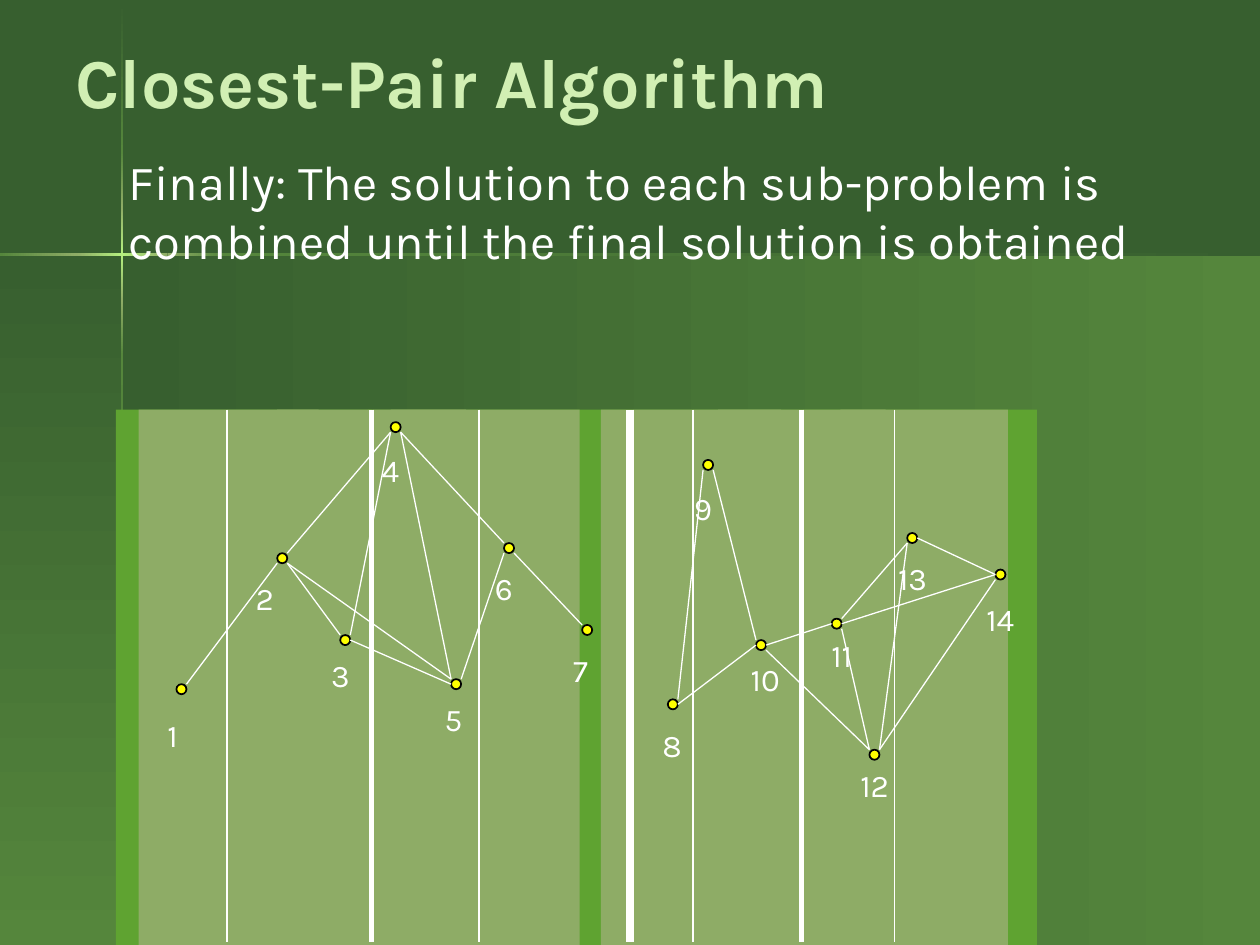
import dataclasses
import itertools

import lxml.etree
import pptx
import pptx.dml.color
import pptx.enum.shapes
import pptx.enum.text
import pptx.oxml.ns
import pptx.util

PX = 9144
SLIDE_WIDTH, SLIDE_HEIGHT = 1000, 750
FONT = "Karla"
COLORS = {
    "dark": "375F2F", "mid": "55863C", "soft": "8EAC66", "glow": "B4EF7F",
    "region": "5FA331", "title": "D1EFB3", "white": "FFFFFF",
    "dot": "FFFF00", "outline": "000000",
}
DOWN, RIGHT = 270, 0
CROSS_X, CROSS_Y, BEAM = 96, 201, 2
FIELD_TOP, FIELD_BOTTOM = 325, 748
DOT = 8
FLAT_SLOPE = 0.7


@dataclasses.dataclass
class Point:
    left: int
    top: int
    label_dx: int = -17
    label_dy: int = 16


VERTICAL_BEAM = [(1, "dark"), (121, "mid"), (165, "soft"),
                 (238, "soft"), (282, "mid"), (SLIDE_HEIGHT, "dark")]
HORIZONTAL_BEAM = [(0, "mid"), (61, "soft"), (133, "soft"),
                   (177, "mid"), (SLIDE_WIDTH, "dark")]
BANDS = [
    (638, 72, "region"), (550, 88, "region"), (570, 133, "soft"),
    (380, 120, "region"), (710, 113, "region"), (667, 133, "soft"),
    (500, 50, "region"), (477, 143, "soft"), (292, 88, "region"),
    (180, 115, "region"), (220, 150, "soft"), (310, 150, "soft"),
    (92, 88, "region"), (110, 143, "soft"),
]
DIVIDERS_BY_WIDTH = {5: [500], 3: [295, 636], 1: [180, 380, 550, 710]}
POINTS = {
    1: Point(140, 543, label_dy=20),
    2: Point(220, 439, label_dx=-27),
    3: Point(270, 504, label_dy=12),
    4: Point(310, 335, label_dy=18),
    5: Point(358, 539, label_dx=-15, label_dy=12),
    6: Point(400, 431),
    7: Point(462, 496),
    8: Point(530, 555, label_dx=-14),
    9: Point(558, 365, label_dy=18),
    10: Point(600, 508, label_dx=-14, label_dy=11),
    11: Point(660, 491, label_dx=-10, label_dy=9),
    12: Point(690, 595, label_dy=8),
    13: Point(720, 423),
    14: Point(790, 452, label_dy=19),
}
NEIGHBOURS = {
    1: [2], 2: [3, 4, 5], 3: [4, 5], 4: [5, 6], 5: [6], 6: [7],
    8: [9, 10], 9: [10], 10: [11, 12], 11: [12, 13, 14], 12: [13, 14], 13: [14],
}


def px(*lengths):
    return [pptx.util.Emu(length * PX) for length in lengths]


def rgb(name):
    return pptx.dml.color.RGBColor.from_string(COLORS[name])


def add_block(slide, box, kind=pptx.enum.shapes.MSO_SHAPE.RECTANGLE):
    block = slide.shapes.add_shape(kind, *px(*box))
    block.shadow.inherit = False
    block.line.fill.background()
    return block


def add_solid(slide, box, color, **options):
    block = add_block(slide, box, **options)
    block.fill.solid()
    block.fill.fore_color.rgb = rgb(color)
    return block


def add_gradient(slide, box, angle, names):
    block = add_block(slide, box)
    block.fill.gradient()
    block.fill.gradient_angle = angle
    qn = pptx.oxml.ns.qn
    stops = block._element.spPr.find(".//" + qn("a:gsLst"))
    for stop in list(stops):
        stops.remove(stop)
    for index, name in enumerate(names):
        position = 100000 * index // (len(names) - 1)
        stop = lxml.etree.SubElement(stops, qn("a:gs"), pos=str(position))
        lxml.etree.SubElement(stop, qn("a:srgbClr"), val=COLORS[name])


def add_beam(slide, marks, angle):
    for (start, first), (end, last) in itertools.pairwise(marks):
        names = (first, "glow", last) if first == last else (first, last)
        if angle == DOWN:
            box = (CROSS_X, start, BEAM, end - start)
        else:
            box = (start, CROSS_Y, end - start, BEAM)
        add_gradient(slide, box, angle, names)


def add_backdrop(slide):
    slide.background.fill.solid()
    slide.background.fill.fore_color.rgb = rgb("dark")
    left, top = CROSS_X + 1, CROSS_Y + 1
    height = SLIDE_HEIGHT - top
    add_gradient(slide, (left, top, SLIDE_WIDTH - left, height), RIGHT, ("dark", "mid"))
    add_gradient(slide, (0, top, left, height), DOWN, ("dark", "mid"))
    add_beam(slide, VERTICAL_BEAM, DOWN)
    add_beam(slide, HORIZONTAL_BEAM, RIGHT)


def write(shape, text, size, color="white", before=0, bold=False):
    frame = shape.text_frame
    frame.text = text
    frame.word_wrap = True
    frame.auto_size = pptx.enum.text.MSO_AUTO_SIZE.SHAPE_TO_FIT_TEXT
    paragraph = frame.paragraphs[0]
    paragraph.alignment = pptx.enum.text.PP_ALIGN.LEFT
    paragraph.space_before = pptx.util.Pt(before)
    paragraph.font.name = FONT
    paragraph.font.size = pptx.util.Pt(size)
    paragraph.font.bold = bold
    paragraph.font.color.rgb = rgb(color)
    return frame


def remove_bullet(paragraph):
    properties = paragraph._p.get_or_add_pPr()
    properties.set("marL", "0")
    properties.set("indent", "0")
    no_bullet = properties.makeelement(pptx.oxml.ns.qn("a:buNone"))
    properties.insert_element_before(no_bullet, "a:tabLst", "a:defRPr")


def bring_forward(slide, placeholder, box):
    placeholder.left, placeholder.top, placeholder.width, placeholder.height = px(*box)
    slide.shapes._spTree.append(placeholder._element)


def set_title(slide):
    title = slide.shapes.title
    bring_forward(slide, title, (50, 33, 740, 62))
    frame = write(title, "Closest-Pair Algorithm", 40, "title", bold=True)
    frame.vertical_anchor = pptx.enum.text.MSO_ANCHOR.MIDDLE
    frame.auto_size = pptx.enum.text.MSO_AUTO_SIZE.NONE


def set_body(slide):
    body = slide.placeholders[1]
    bring_forward(slide, body, (92, 115, 875, 104))
    frame = write(body, "Finally: The solution to each sub-problem is combined "
                  "until the final solution is obtained", 28, before=17.5)
    remove_bullet(frame.paragraphs[0])


def add_point(slide, number, point):
    dot = add_solid(slide, (point.left, point.top, DOT, DOT), "dot",
                    kind=pptx.enum.shapes.MSO_SHAPE.OVAL)
    dot.line.color.rgb = rgb("outline")
    dot.line.width = pptx.util.Pt(1)
    label = slide.shapes.add_textbox(
        *px(point.left + point.label_dx, point.top + point.label_dy, 50, 40))
    write(label, str(number), 18, before=11.2)


def add_line(slide, ends, width):
    line = slide.shapes.add_connector(
        pptx.enum.shapes.MSO_CONNECTOR.STRAIGHT, *px(*ends))
    line.line.color.rgb = rgb("white")
    line.line.width = pptx.util.Pt(width)
    lxml.etree.SubElement(line._element.spPr, pptx.oxml.ns.qn("a:effectLst"))


def facing_anchor(point, other):
    dx, dy = other.left - point.left, other.top - point.top
    x = point.left + (DOT if dx > 0 else 0)
    if abs(dy) < FLAT_SLOPE * abs(dx):
        return x, point.top + DOT // 2
    return x, point.top + (DOT if dy > 0 else 0)


def add_edge(slide, start, end):
    add_line(slide, facing_anchor(start, end) + facing_anchor(end, start), 0.75)


def main():
    deck = pptx.Presentation()
    deck.slide_width, deck.slide_height = px(SLIDE_WIDTH, SLIDE_HEIGHT)
    slide = deck.slides.add_slide(deck.slide_layouts[1])
    add_backdrop(slide)
    for left, width, color in BANDS:
        add_solid(slide, (left, FIELD_TOP, width, SLIDE_HEIGHT - FIELD_TOP), color)
    set_body(slide)
    for number, point in POINTS.items():
        add_point(slide, number, point)
    set_title(slide)
    for width, positions in DIVIDERS_BY_WIDTH.items():
        for x in positions:
            add_line(slide, (x, FIELD_TOP, x, FIELD_BOTTOM), width)
    for number, neighbours in NEIGHBOURS.items():
        for neighbour in neighbours:
            add_edge(slide, POINTS[number], POINTS[neighbour])
    deck.save("out.pptx")


if __name__ == "__main__":
    main()
